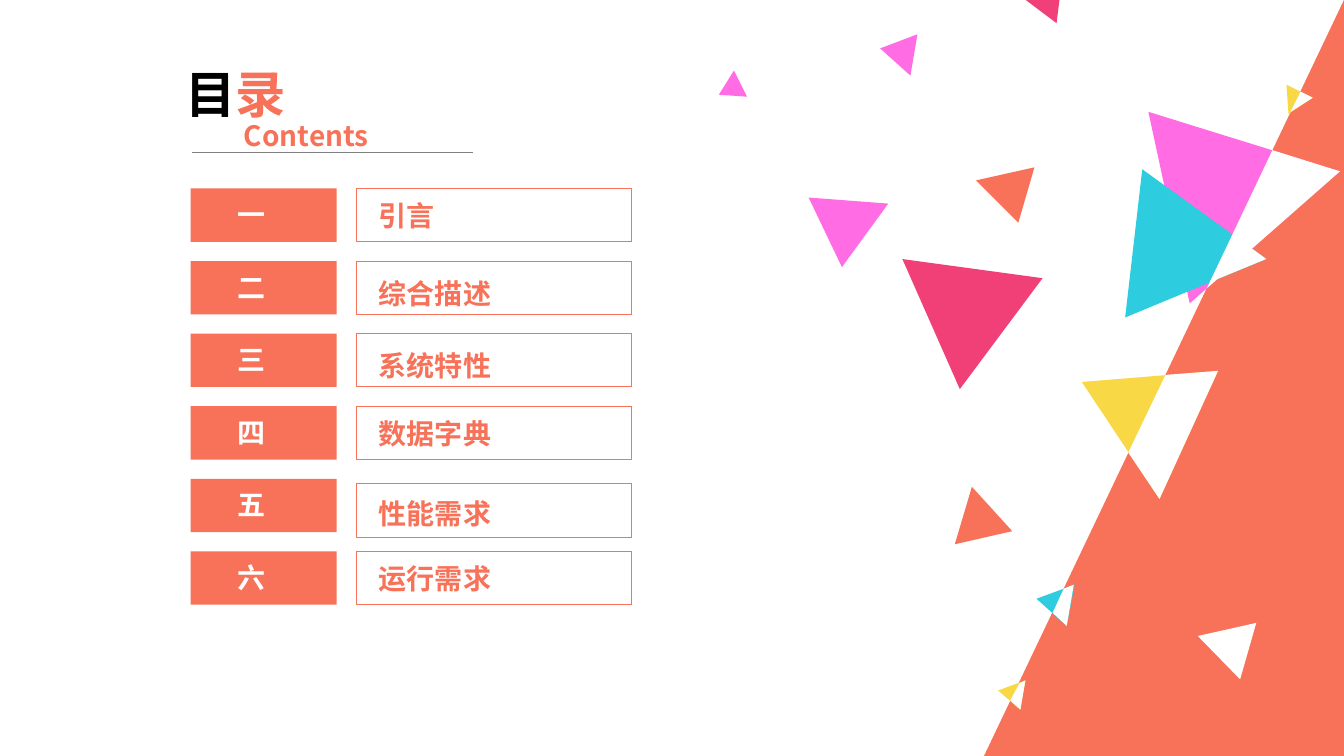
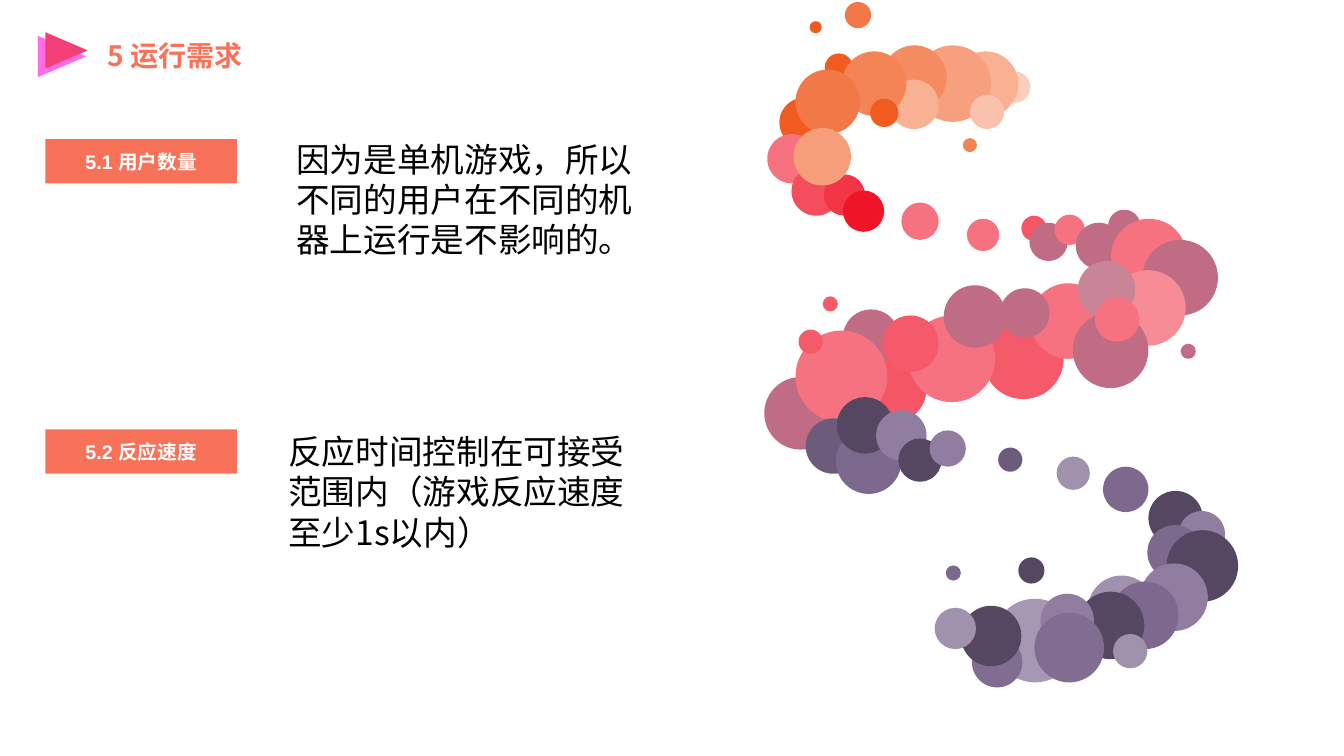
from lxml import etree
from pptx import Presentation
from pptx import util as u
from pptx.dml.color import RGBColor
from pptx.enum import shapes, text
from pptx.oxml.ns import qn

FONT = "Noto Sans CJK SC"
COLORS = {
    "coral": "F77258", "white": "FFFFFF", "black": "000000", "grey": "808080",
    "magenta": "FF6CE4", "crimson": "F04077", "cyan": "2DCCDF", "yellow": "F8D845",
    "orange1": "F15B1F", "orange2": "F37847", "orange3": "F48356", "orange4": "F58B61",
    "peach1": "F69D7A", "peach2": "F7A07D", "peach3": "F8B193", "peach4": "FAC2AC",
    "peach5": "FBCDBB",
    "red1": "F01429", "red2": "F23648", "red3": "F44E5E", "red4": "F45665",
    "red5": "F45A69", "pink1": "F67280", "pink2": "F88C96",
    "mauve1": "C06C84", "mauve2": "CA8498",
    "plum1": "554761", "plum2": "6C5B7B", "plum3": "7C698D", "plum4": "816C92",
    "lilac1": "907D9F", "lilac2": "A091AD", "lilac3": "A698B2",
}

# Contents rows: numeral, label, shift of the frame, shift of the label (inches)
CONTENTS = [
    ("一", "引言", 0, 0.05), ("二", "综合描述", 0, 0.1), ("三", "系统特性", 0, 0.1),
    ("四", "数据字典", 0, 0.05), ("五", "性能需求", 0.05, 0.13), ("六", "运行需求", 0, 0.05),
]
ROW_TOP, ROW_PITCH, ROW_HEIGHT = 1.87, 0.72, 0.53

# Confetti: colour and corner points (inches), back to front
CONFETTI = [
    ("coral", [(10.26, 1.66), (10.1, 2.21), (9.68, 1.79)]),
    ("magenta", [(11.8, 3.01), (11.39, 1.11), (13.29, 1.7)]),
    ("cyan", [(11.16, 3.15), (11.33, 1.68), (12.56, 2.57)]),
    ("cyan", [(10.28, 5.94), (10.66, 5.8), (10.58, 6.21)]),
    ("yellow", [(9.9, 6.85), (10.17, 6.75), (10.12, 7.04)]),
    ("yellow", [(10.73, 3.79), (12.08, 3.68), (11.5, 4.95)]),
    ("crimson", [(10.34, 2.76), (9.52, 3.86), (8.95, 2.57)]),
    ("yellow", [(12.78, 1.13), (12.76, 0.84), (13.02, 0.97)]),
    ("magenta", [(8.73, 0.48), (9.1, 0.34), (9.03, 0.75)]),
    ("crimson", [(10.48, 0.23), (10.16, -0.01), (10.53, -0.17)]),
    ("magenta", [(8.35, 2.65), (8.02, 1.96), (8.81, 2.02)]),
    ("coral", [(10.04, 5.27), (9.47, 5.4), (9.64, 4.83)]),
    ("white", [(12.46, 6.18), (12.3, 6.74), (11.88, 6.31)]),
    ("white", [(12.62, 1.49), (13.29, 1.7), (11.97, 2.86)]),
    ("white", [(12.23, 2.33), (12.56, 2.57), (12, 2.8)]),
    ("white", [(10.65, 5.8), (10.58, 6.21), (10.44, 6.08), (10.55, 5.84)]),
    ("white", [(10.17, 6.75), (10.12, 7.04), (10.02, 6.95), (10.11, 6.78)]),
    ("white", [(12.08, 3.68), (11.5, 4.95), (11.19, 4.49), (11.56, 3.72)]),
    ("white", [(12.9, 0.91), (13.02, 0.97), (12.8, 1.11)]),
    ("magenta", [(7.13, 0.94), (7.28, 0.7), (7.41, 0.96)]),
]

# Requirements: heading, heading top, body, body left, body top, body width (inches)
REQUIREMENTS = [
    ("5.1 用户数量", 1.38, "因为是单机游戏，所以不同的用户在不同的机器上运行是不影响的。", 2.94, 1.36, 3.54),
    ("5.2 反应速度", 4.26, "反应时间控制在可接受范围内（游戏反应速度至少1s以内）", 2.86, 4.26, 3.48),
]

# Bubbles: left, top, diameter (inches), colour, back to front
BUBBLES = [
    (9.85, 5.94, 0.83, "lilac3"), (10.79, 5.71, 0.67, "lilac2"), (7.58, 3.74, 0.72, "mauve1"),
    (8.5, 3.51, 0.69, "red4"), (9.75, 3.16, 0.8, "red5"), (10.22, 2.81, 0.75, "pink1"),
    (7.73, 0.97, 0.49, "orange1"), (8.18, 0.53, 0.28, "orange1"), (9.91, 0.71, 0.31, "peach5"),
    (9.45, 0.51, 0.65, "peach3"), (9.07, 0.45, 0.76, "peach2"), (8.75, 0.45, 0.64, "orange4"),
    (8.82, 0.79, 0.49, "peach3"), (9.62, 0.94, 0.34, "peach4"), (8.35, 0.51, 0.64, "orange3"),
    (8.63, 0.98, 0.28, "orange1"), (7.89, 0.69, 0.64, "orange2"), (7.61, 1.33, 0.49, "pink1"),
    (7.85, 1.65, 0.49, "red3"), (8.17, 1.73, 0.41, "red2"), (7.87, 1.27, 0.57, "peach1"),
    (8.36, 1.89, 0.41, "red1"), (8.94, 2.01, 0.37, "pink1"), (9.59, 2.17, 0.32, "pink1"),
    (10.13, 2.14, 0.25, "red4"), (10.21, 2.21, 0.38, "mauve1"), (10.46, 2.13, 0.3, "pink1"),
    (10.67, 2.21, 0.46, "mauve1"), (10.99, 2.08, 0.32, "mauve1"), (11.02, 2.17, 0.75, "pink1"),
    (11.33, 2.38, 0.75, "mauve1"), (11.01, 2.68, 0.75, "pink2"), (10.69, 2.59, 0.57, "mauve2"),
    (10.64, 3.1, 0.75, "mauve1"), (10.86, 2.95, 0.44, "pink1"), (9.92, 2.86, 0.49, "mauve1"),
    (9.01, 3.13, 0.86, "pink1"), (9.36, 2.83, 0.62, "mauve1"), (8.36, 3.07, 0.56, "mauve1"),
    (7.89, 3.28, 0.91, "pink1"), (8.75, 3.13, 0.56, "red5"), (7.99, 4.15, 0.55, "plum2"),
    (8.29, 4.25, 0.65, "plum3"), (8.3, 3.94, 0.56, "plum1"), (8.69, 4.07, 0.5, "lilac1"),
    (8.91, 4.35, 0.43, "plum1"), (9.22, 4.27, 0.36, "lilac1"), (9.9, 4.44, 0.24, "plum2"),
    (10.48, 4.53, 0.33, "lilac2"), (10.94, 4.63, 0.45, "plum3"), (11.39, 4.87, 0.54, "plum1"),
    (11.69, 5.07, 0.46, "lilac1"), (11.38, 5.21, 0.54, "plum3"), (11.57, 5.26, 0.71, "plum1"),
    (11.31, 5.59, 0.67, "lilac1"), (11.02, 5.77, 0.67, "plum3"), (10.68, 5.87, 0.67, "plum1"),
    (11.04, 6.29, 0.34, "lilac2"), (10.32, 5.89, 0.53, "lilac1"), (10.26, 6.08, 0.69, "plum4"),
    (9.64, 6.32, 0.5, "plum4"), (9.53, 6.01, 0.6, "plum1"), (9.27, 6.03, 0.41, "lilac2"),
    (10.1, 5.53, 0.26, "plum1"), (9.38, 5.61, 0.15, "plum3"), (11.71, 3.41, 0.15, "mauve1"),
    (8.16, 2.94, 0.15, "red5"), (7.92, 3.27, 0.24, "red5"), (9.55, 1.37, 0.14, "orange3"),
    (8.38, 0.02, 0.26, "orange2"), (8.03, 0.21, 0.12, "orange1"),
]


def inch(value):
    return u.Cm(value * 2.54)


def rgb(name):
    return RGBColor.from_string(COLORS[name])


def paint(sp, fill=None, line=None):
    sp.shadow.inherit = False
    if fill:
        sp.fill.solid()
        sp.fill.fore_color.rgb = rgb(fill)
    else:
        sp.fill.background()
    if line:
        sp.line.color.rgb = rgb(line)
        sp.line.width = u.Pt(0.75)
    else:
        sp.line.fill.background()
    return sp


def add_preset(s, kind, box, fill=None, line=None):
    return paint(s.shapes.add_shape(kind, *map(inch, box)), fill, line)


def add_polygon(s, points, fill):
    (x, y), *rest = [(inch(px), inch(py)) for px, py in points]
    builder = s.shapes.build_freeform(x, y)
    builder.add_line_segments(rest, close=True)
    return paint(builder.convert_to_shape(), fill)


def write(sp, runs, color="coral", size=20, bold=True, font=FONT, align="LEFT",
          anchor="TOP", insets=(0.1, 0.05, 0.1, 0.05)):
    """Fill a shape with one paragraph; runs is a string or (text, colour) pairs."""
    tf = sp.text_frame
    tf.word_wrap = True
    tf.vertical_anchor = text.MSO_ANCHOR[anchor]
    tf.margin_left, tf.margin_top, tf.margin_right, tf.margin_bottom = map(inch, insets)
    p = tf.paragraphs[0]
    p.alignment = text.PP_ALIGN[align]
    for words, tint in [(runs, color)] if isinstance(runs, str) else runs:
        r = p.add_run()
        r.text = words
        r.font.size, r.font.bold, r.font.name = u.Pt(size), bold, font
        r.font.color.rgb = rgb(tint)
        etree.SubElement(r.font._element, qn("a:ea")).set("typeface", FONT)


def add_text(s, box, runs, **style):
    write(s.shapes.add_textbox(*map(inch, box)), runs, **style)


def add_rule(s, start, end):
    rule = s.shapes.add_connector(shapes.MSO_CONNECTOR.STRAIGHT, *map(inch, start + end))
    rule.line.color.rgb = rgb("grey")
    rule.line.width = u.Pt(0.5)
    etree.SubElement(rule._element.spPr, qn("a:effectLst"))


def build_contents(s):
    corner = add_preset(s, SHAPE.ISOSCELES_TRIANGLE, (9.76, 0, 3.57, 7.5), "coral")
    corner.adjustments[0] = 1
    for i, (numeral, label, frame_shift, label_shift) in enumerate(CONTENTS):
        top = ROW_TOP + i * ROW_PITCH
        add_preset(s, SHAPE.RECTANGLE, (3.54, top + frame_shift, 2.72, ROW_HEIGHT), line="coral")
        add_text(s, (3.66, top + label_shift, 3.03, 0.46), label)
        add_preset(s, SHAPE.RECTANGLE, (1.89, top, 1.45, ROW_HEIGHT), "coral")
        add_text(s, (2.26, top + 0.04, 0.87, 0.46), numeral, color="white")
    add_text(s, (1.74, 0.58, 1.57, 0.71), [("目", "black"), ("录", "coral")], size=36)
    add_rule(s, (1.9, 1.51), (4.69, 1.51))
    add_text(s, (2.32, 1.13, 1.57, 0.44), "Contents")
    for color, points in CONFETTI:
        add_polygon(s, points, color)


def build_requirements(s):
    for box, color in [((0.41, 0.32, 0.41, 0.48), "magenta"), ((0.48, 0.29, 0.36, 0.42), "crimson")]:
        add_preset(s, SHAPE.ISOSCELES_TRIANGLE, box, color).rotation = 90
    add_text(s, (0.97, 0.33, 3.04, 0.46), "5 运行需求")
    for left, top, size, color in BUBBLES:
        add_preset(s, SHAPE.OVAL, (left, top, size, size), color)
    for heading, top, body, body_left, body_top, body_width in REQUIREMENTS:
        tag = add_preset(s, SHAPE.RECTANGLE, (0.45, top, 1.9, 0.44), "coral")
        write(tag, heading, color="white", size=14, font="Arial", align="CENTER", anchor="MIDDLE")
        add_text(s, (body_left, body_top, body_width, 1.23), body, color="black", size=24,
                 bold=False, anchor="MIDDLE", insets=(0, 0, 0, 0))


SHAPE = shapes.MSO_SHAPE


def main():
    prs = Presentation()
    prs.slide_width, prs.slide_height = inch(13.33), inch(7.5)
    for build in (build_contents, build_requirements):
        build(prs.slides.add_slide(prs.slide_layouts[6]))
    prs.save("out.pptx")


if __name__ == "__main__":
    main()
